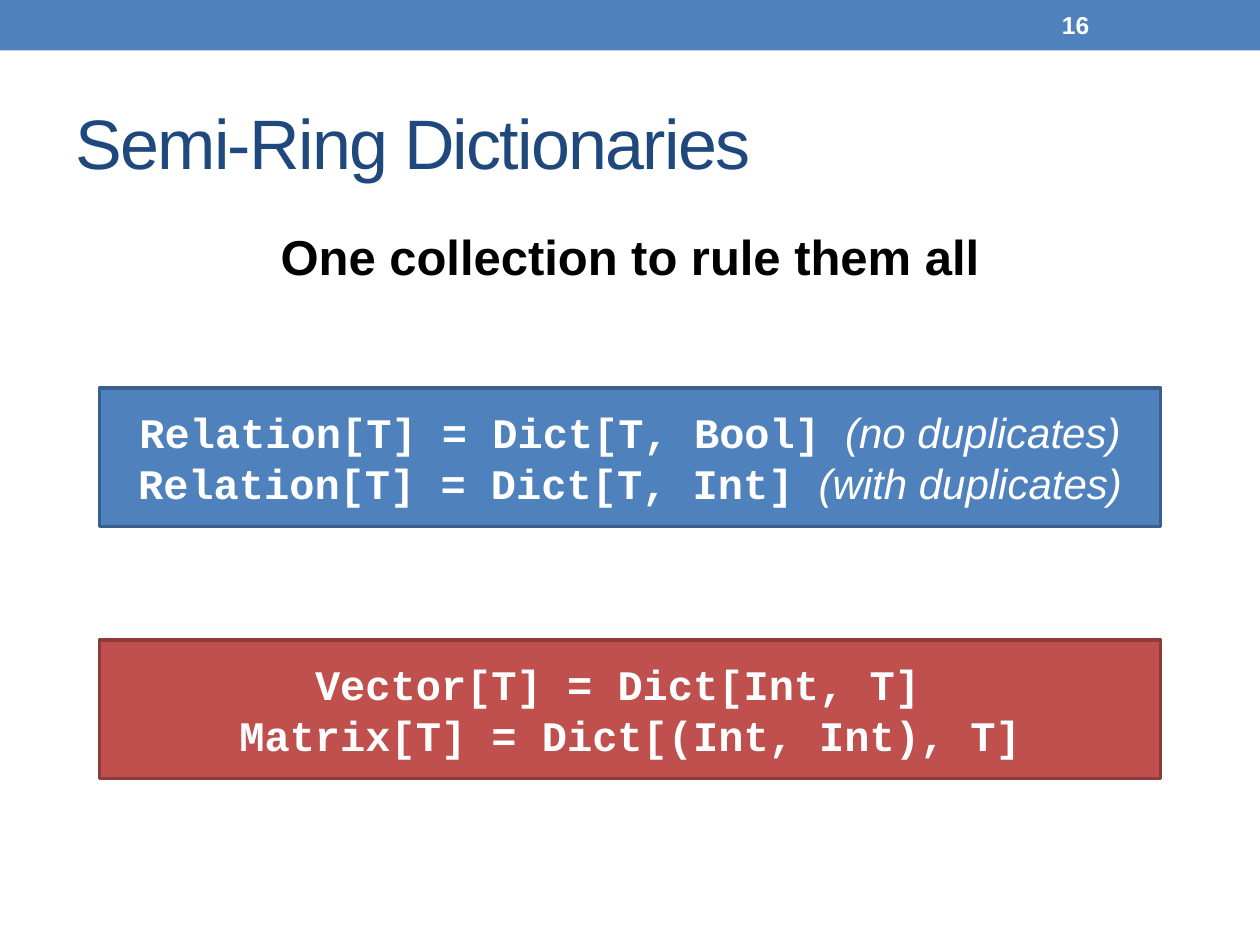
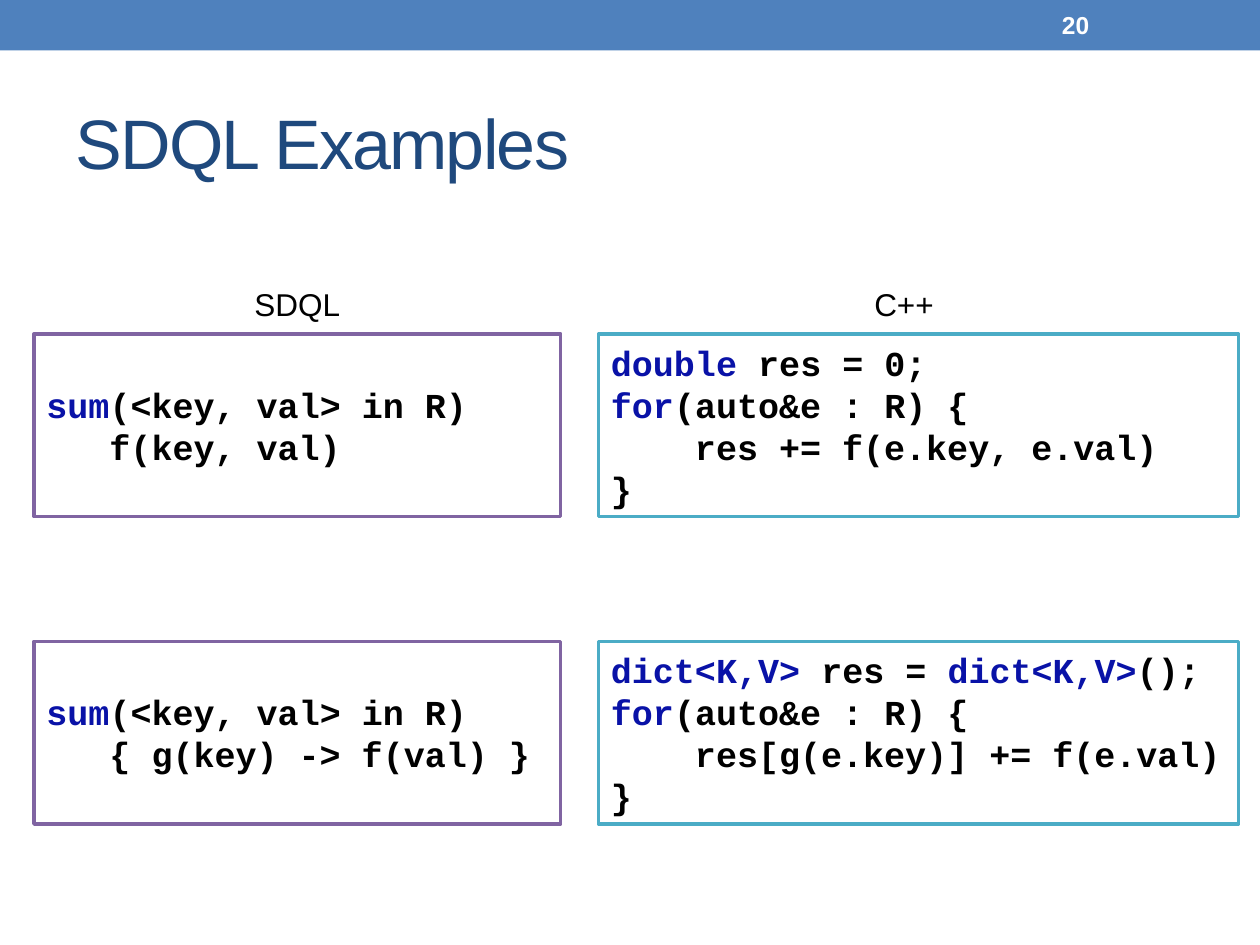
from lxml.etree import SubElement
from pptx import Presentation
from pptx.dml.color import RGBColor
from pptx.enum.shapes import MSO_SHAPE
from pptx.enum.text import MSO_ANCHOR, PP_ALIGN
from pptx.oxml.ns import qn
from pptx.util import Inches, Pt

COLORS = {
    "band": "4F81BD", "title": "1F497D", "white": "FFFFFF", "black": "000000",
    "blue_edge": "3A5F8C", "red": "C0504D", "red_edge": "8E3B39",
    "purple": "8064A2", "teal": "4BACC6", "keyword": "0912A7",
}
SANS, MONO = "Arial", "Courier New"

# The slide is a grid of 100 columns and 75 rows
WIDTH, HEIGHT = Inches(10), Inches(7.5)
COLUMN, ROW = WIDTH // 100, HEIGHT // 75
TITLE_ONLY, TITLE_AND_BODY = 5, 1

# Span styles: font, bold, italic, colour
DEFINITION = (MONO, True, False, "white")
REMARK = (SANS, False, True, "white")
CODE = (MONO, True, False, "black")
KEYWORD = (MONO, True, False, "keyword")
HEADING = (SANS, True, False, "black")
LABEL = (SANS, False, False, "black")
NUMBER = (SANS, True, False, "white")
TITLE = (SANS, False, False, "title")


def color(name):
    return RGBColor.from_string(COLORS[name])


def grid(left, top, width, height):
    return (round(left * COLUMN), round(top * ROW),
            round(width * COLUMN), round(height * ROW))


def move(shape, area):
    shape.left, shape.top, shape.width, shape.height = grid(*area)


def write(shape, lines, size, align=PP_ALIGN.LEFT, anchor=MSO_ANCHOR.MIDDLE):
    """Fill a shape with lines, each a list of (text, style) spans."""
    frame = shape.text_frame
    frame.vertical_anchor = anchor
    for index, spans in enumerate(lines):
        para = frame.add_paragraph() if index else frame.paragraphs[0]
        para.alignment = align
        para.space_before = Pt(0)
        for text, (font, bold, italic, tone) in spans:
            span = para.add_run()
            span.text = text
            span.font.name, span.font.size = font, Pt(size)
            span.font.bold, span.font.italic = bold, italic
            span.font.color.rgb = color(tone)


def add_box(page, area, fill, edge=None):
    box = page.shapes.add_shape(MSO_SHAPE.RECTANGLE, *grid(*area))
    box.shadow.inherit = False
    box.fill.solid()
    box.fill.fore_color.rgb = color(fill)
    if edge:
        box.line.color.rgb = color(edge)
        box.line.width = Pt(2.08)
    else:
        box.line.fill.background()
    return box


def add_label(page, area, text, style, size, wrap=False):
    label = page.shapes.add_textbox(*grid(*area))
    label.text_frame.word_wrap = wrap
    write(label, [[(text, style)]], size)


def add_page(deck, layout, title, number):
    """Start a page with the shared title, top band and page number."""
    page = deck.slides.add_slide(deck.slide_layouts[layout])
    move(page.shapes.title, (5, 5.8, 90, 10.8))
    write(page.shapes.title, [[(title, TITLE)]], 40)
    span = page.shapes.title.text_frame.paragraphs[0].runs[0]
    span.font._element.set("spc", "-100")
    add_box(page, (0, 0, 100, 4), "band")
    add_label(page, (83.3, 0.2, 11.7, 3.6), str(number), NUMBER, 14, True)
    return page


def add_heading(page, text):
    body = page.placeholders[1]
    move(body, (5, 17.5, 90, 53.3))
    properties = body.text_frame.paragraphs[0]._p.get_or_add_pPr()
    properties.set("marL", "0")
    properties.set("indent", "0")
    SubElement(properties, qn("a:buNone"))
    write(body, [[(text, HEADING)]], 28, PP_ALIGN.CENTER, MSO_ANCHOR.TOP)


def build_dictionaries(deck):
    page = add_page(deck, TITLE_AND_BODY, "Semi-Ring Dictionaries", 16)
    add_heading(page, "One collection to rule them all")
    definitions = [
        ("band", "blue_edge", [
            [("Relation[T] = Dict[T, Bool] ", DEFINITION), ("(no duplicates)", REMARK)],
            [("Relation[T] = Dict[T, Int] ", DEFINITION), ("(with duplicates)", REMARK)],
        ]),
        ("red", "red_edge", [
            [("Vector[T] = Dict[Int, T] ", DEFINITION)],
            [("Matrix[T] = Dict[(Int, Int), T]", DEFINITION)],
        ]),
    ]
    for index, (fill, edge, lines) in enumerate(definitions):
        box = add_box(page, (7.9, 30.8 + 20 * index, 84.2, 11), fill, edge)
        write(box, lines, 24, PP_ALIGN.CENTER)


def build_examples(deck):
    page = add_page(deck, TITLE_ONLY, "SDQL Examples", 20)
    sum_line = [("sum", KEYWORD), ("(<key, val> in R)", CODE)]
    loop_line = [("for", KEYWORD), ("(auto&e : R) {", CODE)]
    end_line = [("}", CODE)]

    # Each language: left, width, edge, label area, label, code per row
    languages = [
        (2.7, 41.8, "purple", (19.2, 22.1, 8.9, 4), "SDQL", [
            [sum_line, [("   f(key, val)", CODE)]],
            [sum_line, [("   { g(key) -> f(val) }", CODE)]],
        ]),
        (47.5, 50.8, "teal", (68.4, 22.1, 6.8, 4), "C++", [
            [[("double ", KEYWORD), ("res = 0;", CODE)], loop_line,
             [("    res += f(e.key, e.val)", CODE)], end_line],
            [[("dict<K,V> ", KEYWORD), ("res = ", CODE),
              ("dict<K,V>", KEYWORD), ("();", CODE)], loop_line,
             [("    res[g(e.key)] += f(e.val)", CODE)], end_line],
        ]),
    ]
    for left, width, edge, label_area, label, examples in languages:
        for index, lines in enumerate(examples):
            box = add_box(page, (left, 26.5 + 24.4 * index, width, 14.5), "white", edge)
            box.text_frame.word_wrap = True
            write(box, lines, 20)
        add_label(page, label_area, label, LABEL, 18)


def main():
    deck = Presentation()
    deck.slide_width, deck.slide_height = WIDTH, HEIGHT
    build_dictionaries(deck)
    build_examples(deck)
    deck.save("out.pptx")


if __name__ == "__main__":
    main()
